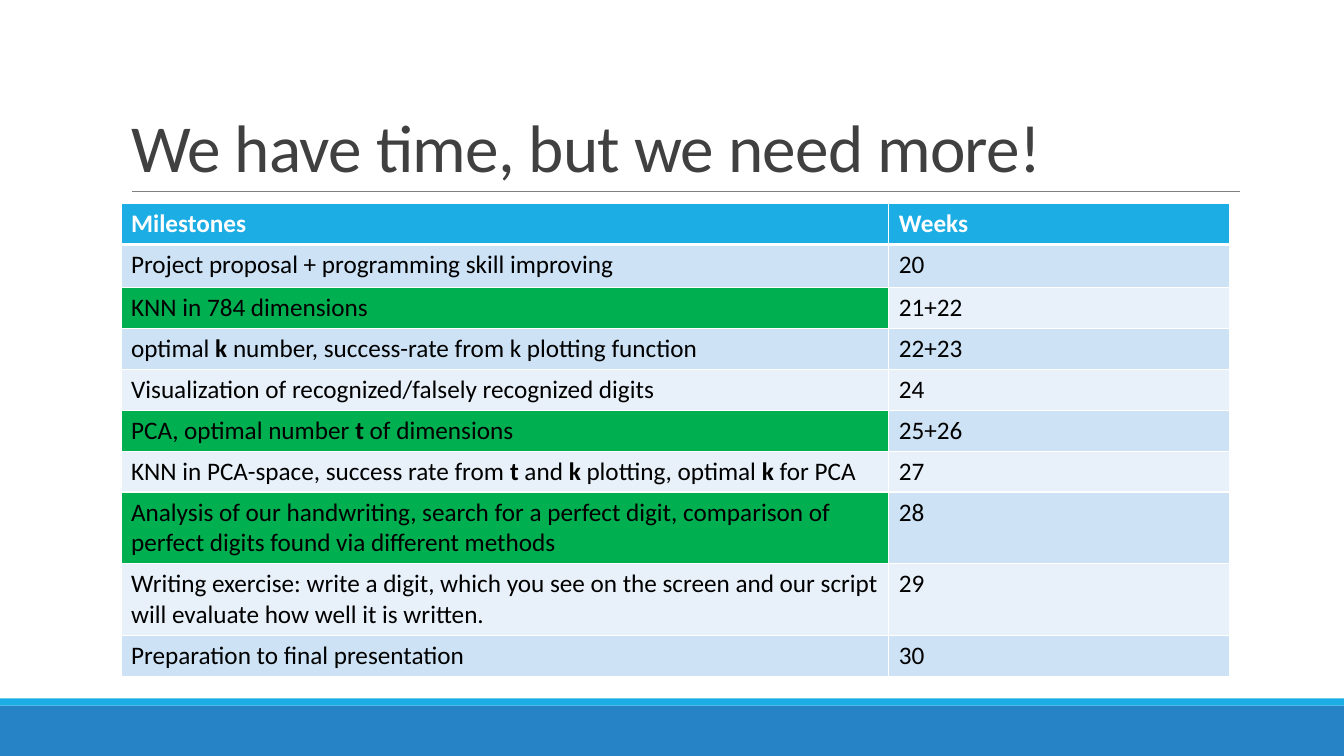
"""Build the project schedule slide with its milestone table."""
from lxml.etree import SubElement
from pptx import Presentation
from pptx.dml.color import RGBColor
from pptx.enum.shapes import MSO_CONNECTOR, MSO_SHAPE
from pptx.enum.text import MSO_ANCHOR, MSO_AUTO_SIZE, PP_ALIGN
from pptx.oxml.ns import qn
from pptx.util import Cm, Pt

FONT = "Calibri"
WHITE = RGBColor(0xFF, 0xFF, 0xFF)
BLACK = RGBColor(0x00, 0x00, 0x00)
DARK_GREY = RGBColor(0x40, 0x40, 0x40)
GREY = RGBColor(0x80, 0x80, 0x80)
BLUE = RGBColor(0x26, 0x83, 0xC6)
CYAN = RGBColor(0x1C, 0xAD, 0xE4)
GREEN = RGBColor(0x00, 0xB0, 0x50)
BANDS = (RGBColor(0xE8, 0xF1, 0xFA), RGBColor(0xCD, 0xE3, 0xF5))

COLUMN_WIDTHS = (19.35, 8.59)
ROW_HEIGHTS = (1.03, 1.09, 1.03, 1.03, 1.03, 1.03, 1.03, 1.8, 1.8, 1.03)
HIGHLIGHTED_ROWS = (2, 5, 7)
ROWS = (
    ("Milestones", "Weeks"),
    ("Project proposal + programming skill improving", "20"),
    ("KNN in 784 dimensions", "21+22"),
    ("optimal *k* number, success-rate from k plotting function", "22+23"),
    ("Visualization of recognized/falsely recognized digits", "24"),
    ("PCA, optimal number *t* of dimensions", "25+26"),
    ("KNN in PCA-space, success rate from *t* and *k* plotting, "
     "optimal *k* for PCA", "27"),
    ("Analysis of our handwriting, search for a perfect digit, comparison of "
     "perfect digits found via different methods", "28"),
    ("Writing exercise: write a digit, which you see on the screen and our "
     "script will evaluate how well it is written.", "29"),
    ("Preparation to final presentation", "30"),
)


def write_text(tf, text, size, color, bold=False, spacing=None, line_spacing=None):
    """Write text in the frame, with bold for the parts between asterisks."""
    p = tf.paragraphs[0]
    p.alignment = PP_ALIGN.LEFT
    p.line_spacing = line_spacing
    for i, part in enumerate(text.split("*")):
        r = p.add_run()
        r.text = part
        r.font.name = FONT
        r.font.size = Pt(size)
        r.font.color.rgb = color
        r.font.bold = bold or i % 2 == 1
        if spacing is not None:
            r._r.get_or_add_rPr().set("spc", str(int(spacing * 100)))


def add_bar(s, top, height, color):
    """Add a bar across the full slide width."""
    sp = s.shapes.add_shape(MSO_SHAPE.RECTANGLE, 0, Cm(top), Cm(33.87), Cm(height))
    sp.shadow.inherit = False
    sp.fill.solid()
    sp.fill.fore_color.rgb = color
    sp.line.fill.background()


def add_rule(s, left, right, top):
    """Add the thin horizontal line below the title."""
    line = s.shapes.add_connector(
        MSO_CONNECTOR.STRAIGHT, Cm(left), Cm(top), Cm(right), Cm(top))
    line.line.color.rgb = GREY
    line.line.width = Pt(0.5)
    SubElement(line._element.spPr, qn("a:effectLst"))


def set_title(s, text):
    """Place and format the title placeholder."""
    title = s.shapes.title
    title.left, title.top, title.width, title.height = map(
        Cm, (3.05, 0.79, 27.94, 4.04))
    tf = title.text_frame
    tf.auto_size = MSO_AUTO_SIZE.NONE
    tf.vertical_anchor = MSO_ANCHOR.BOTTOM
    write_text(tf, text, 48, DARK_GREY, spacing=-0.5, line_spacing=0.85)


def set_borders(cell, top=1, bottom=1):
    """Give the cell white borders with the widths in points."""
    tcPr = cell._tc.get_or_add_tcPr()
    for side, width in (("L", 1), ("R", 1), ("T", top), ("B", bottom)):
        ln = SubElement(tcPr, qn(f"a:ln{side}"), w=str(Pt(width)))
        fill = SubElement(ln, qn("a:solidFill"))
        SubElement(fill, qn("a:srgbClr"), val=str(WHITE))


def add_milestones(s):
    """Add the milestone table with banded and highlighted rows."""
    table = s.shapes.add_table(
        len(ROWS), len(COLUMN_WIDTHS), Cm(3.05), Cm(5.13),
        Cm(sum(COLUMN_WIDTHS)), Cm(sum(ROW_HEIGHTS))).table
    for column, width in zip(table.columns, COLUMN_WIDTHS):
        column.width = Cm(width)
    for i, (row, height, texts) in enumerate(zip(table.rows, ROW_HEIGHTS, ROWS)):
        row.height = Cm(height)
        header = i == 0
        for j, (cell, text) in enumerate(zip(row.cells, texts)):
            set_borders(cell, top=3 if i == 1 else 1, bottom=3 if header else 1)
            highlighted = j == 0 and i in HIGHLIGHTED_ROWS
            cell.fill.solid()
            cell.fill.fore_color.rgb = (
                CYAN if header else GREEN if highlighted else BANDS[i % 2])
            write_text(cell.text_frame, text, 18, WHITE if header else BLACK,
                       bold=header)


def main():
    """Build and save the slide."""
    prs = Presentation()
    prs.slide_width, prs.slide_height = Cm(33.87), Cm(19.05)
    s = prs.slides.add_slide(prs.slide_layouts[5])
    add_bar(s, 17.78, 1.27, BLUE)
    add_bar(s, 17.6, 0.18, CYAN)
    add_rule(s, 3.33, 31.24, 4.83)
    set_title(s, "We have time, but we need more!")
    add_milestones(s)
    prs.save("out.pptx")


if __name__ == "__main__":
    main()
